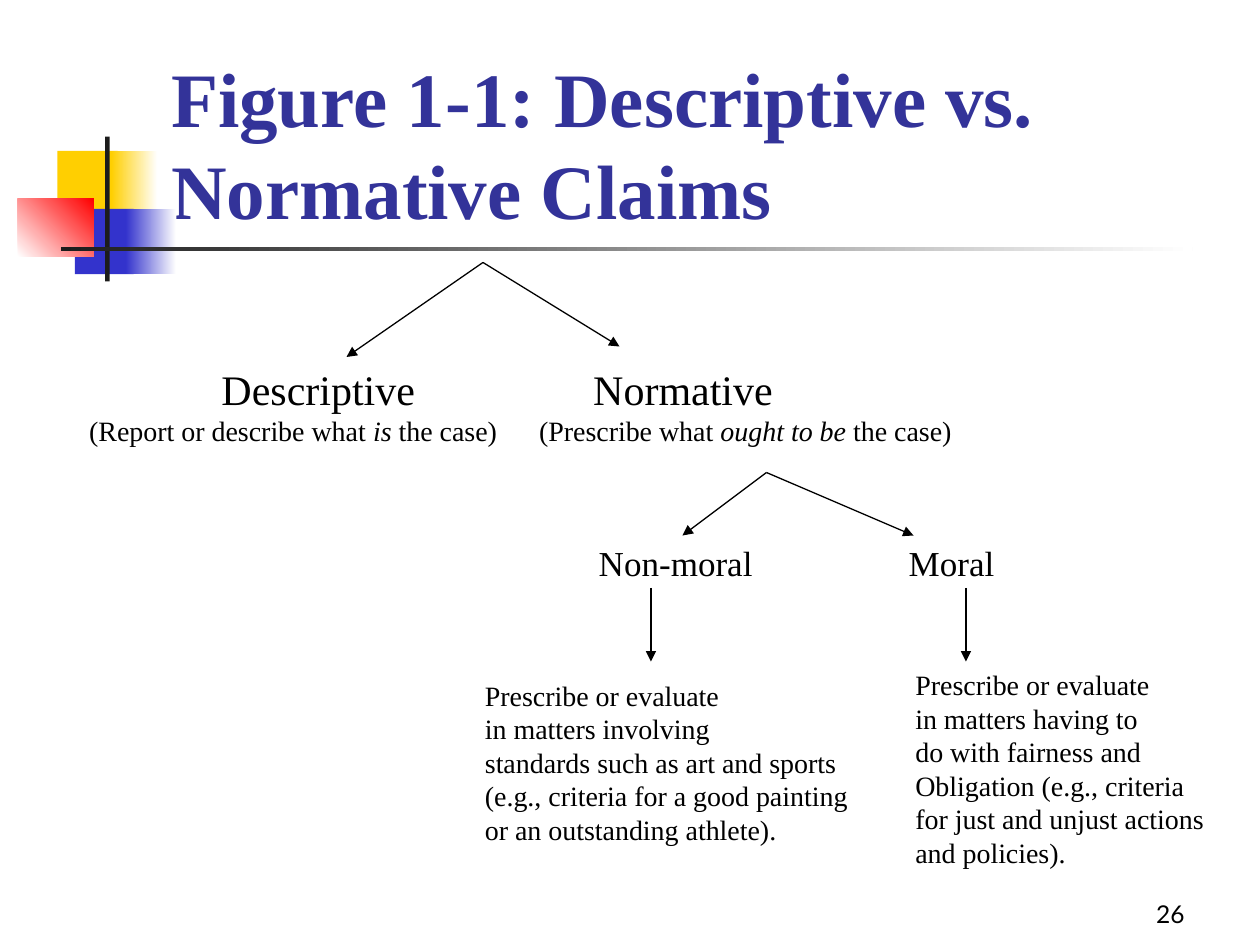
from lxml import etree
from pptx import Presentation
from pptx.dml.color import RGBColor
from pptx.enum.shapes import MSO_CONNECTOR, MSO_SHAPE
from pptx.enum.text import MSO_ANCHOR, MSO_AUTO_SIZE, PP_ALIGN
from pptx.oxml.ns import qn
from pptx.util import Inches, Pt

RECT, STRAIGHT = MSO_SHAPE.RECTANGLE, MSO_CONNECTOR.STRAIGHT
LEFT, RIGHT = PP_ALIGN.LEFT, PP_ALIGN.RIGHT
TOP, BOTTOM = MSO_ANCHOR.TOP, MSO_ANCHOR.BOTTOM
SERIF, SANS = "Times New Roman", "Lato"
COLORS = {"text": "000000", "title": "333399", "yellow": "FFCF01",
          "blue": "3333CC", "red": "FF0000", "dark": "1C1C1C", "white": "FFFFFF"}
UNIT = Inches(1) / 12  # the slide is a grid of 120 columns by 90 rows


def grid(*values):
    return [round(v * UNIT) for v in values]


def rgb(name):
    return RGBColor.from_string(COLORS[name])


def add_run(p, text, size, font=SERIF, color="text", bold=False, italic=False):
    r = p.add_run()
    r.text = text
    r.font.name, r.font.size = font, Pt(size)
    r.font.bold, r.font.italic = bold, italic
    r.font.color.rgb = rgb(color)


def add_tabs(p, stops):
    tabs = etree.SubElement(p._p.get_or_add_pPr(), qn("a:tabLst"))
    for stop in stops:
        etree.SubElement(tabs, qn("a:tab"), pos=str(Inches(stop)), algn="l")


def add_text(s, box, lines, size, font=SERIF, align=LEFT, anchor=TOP):
    tf = s.shapes.add_textbox(*grid(*box)).text_frame
    tf.word_wrap, tf.vertical_anchor = True, anchor
    for i, line in enumerate(lines):
        p = tf.paragraphs[0] if i == 0 else tf.add_paragraph()
        p.alignment = align
        add_run(p, line, size, font)


def add_labels(s, box, rows):
    """Rows of (size, tab stops, runs); a run is its text and whether it is italic."""
    tf = s.shapes.add_textbox(*grid(*box)).text_frame
    tf.word_wrap = True
    for i, (size, stops, runs) in enumerate(rows):
        p = tf.paragraphs[0] if i == 0 else tf.add_paragraph()
        add_tabs(p, stops)
        for text, italic in runs:
            add_run(p, text, size, italic=italic)


def add_ornament(s, box):
    """Coloured squares and rules, as shares of the box: x, y, w, h, from, to, angle."""
    left, top, width, height = grid(*box)
    pieces = [
        (0.25, 0.10, 0.38, 0.45, "yellow", None, 0),
        (0.59, 0.10, 0.29, 0.45, "yellow", "white", 0),
        (0.36, 0.50, 0.37, 0.45, "blue", None, 0),
        (0.68, 0.50, 0.32, 0.45, "blue", "white", 0),
        (0.00, 0.43, 0.48, 0.40, "white", "red", 45),
        (0.55, 0.00, 0.03, 1.00, "dark", None, 0),
        (0.27, 0.76, 7.14, 0.03, "dark", "white", 0),
    ]
    for x, y, w, h, start, end, angle in pieces:
        sp = s.shapes.add_shape(RECT, round(left + x * width), round(top + y * height),
                                round(w * width), round(h * height))
        sp.shadow.inherit = False
        sp.line.fill.background()
        if end is None:
            sp.fill.solid()
            sp.fill.fore_color.rgb = rgb(start)
        else:
            sp.fill.gradient()
            sp.fill.gradient_angle = angle
            for stop, name in zip(sp.fill.gradient_stops, (start, end)):
                stop.color.rgb = rgb(name)


def add_title(s, box, text):
    title = s.shapes.title
    title.left, title.top, title.width, title.height = grid(*box)
    tf = title.text_frame
    tf.auto_size, tf.word_wrap = MSO_AUTO_SIZE.NONE, True
    tf.vertical_anchor = BOTTOM
    p = tf.paragraphs[0]
    p.alignment = LEFT
    add_run(p, text, 44, color="title", bold=True)


def add_arrows(s, start, *ends):
    for end in ends:
        line = s.shapes.add_connector(STRAIGHT, *grid(*start, *end))
        line.line.color.rgb = rgb("text")
        line.line.width = Pt(0.75)
        etree.SubElement(line.line._get_or_add_ln(), qn("a:tailEnd"), type="triangle")
        etree.SubElement(line._element.spPr, qn("a:effectLst"))


def add_tree(s):
    # First level: kinds of claim
    add_arrows(s, (46, 25), (33, 34), (59, 33))
    add_labels(s, (0, 34, 120, 9.2), [
        (24, (1.66, 4.61), [("\tDescriptive\tNormative", False)]),
        (16, (0.61, 4.18), [("\t(Report or describe what ", False), ("is", True),
                            (" the case)\t(Prescribe what ", False),
                            ("ought to be ", True), ("the case)", False)]),
    ])
    # Second level: kinds of normative claim
    add_arrows(s, (73, 45), (65, 51), (87, 51))
    add_labels(s, (52, 51, 68, 9.2), [
        (20, (0.32, 2.78), [("\tNon-moral\tMoral", False)])])
    # Third level: explanations
    for column in (62, 92):
        add_arrows(s, (column, 56), (column, 63))
    add_text(s, (45, 64, 40, 20.4), [
        "Prescribe or evaluate", "in matters involving",
        "standards such as art and sports", "(e.g., criteria for a good painting",
        "or an outstanding athlete)."], 16)
    add_text(s, (86, 63, 30, 20.4), [
        "Prescribe or evaluate", "in matters having to", "do with fairness and",
        "Obligation (e.g., criteria for just and unjust actions and policies)."], 16)


def main():
    prs = Presentation()
    prs.slide_width, prs.slide_height = grid(120, 90)
    s = prs.slides.add_slide(prs.slide_layouts[5])
    add_ornament(s, (1.7, 13, 15.1, 13.8))
    add_title(s, (15.1, 8, 102.2, 15), "Figure 1-1: Descriptive vs. Normative Claims")
    add_tree(s)
    # Page number
    add_text(s, (89, 83, 25, 6), ["26"], 14, SANS, RIGHT, BOTTOM)
    prs.save("out.pptx")


if __name__ == "__main__":
    main()
